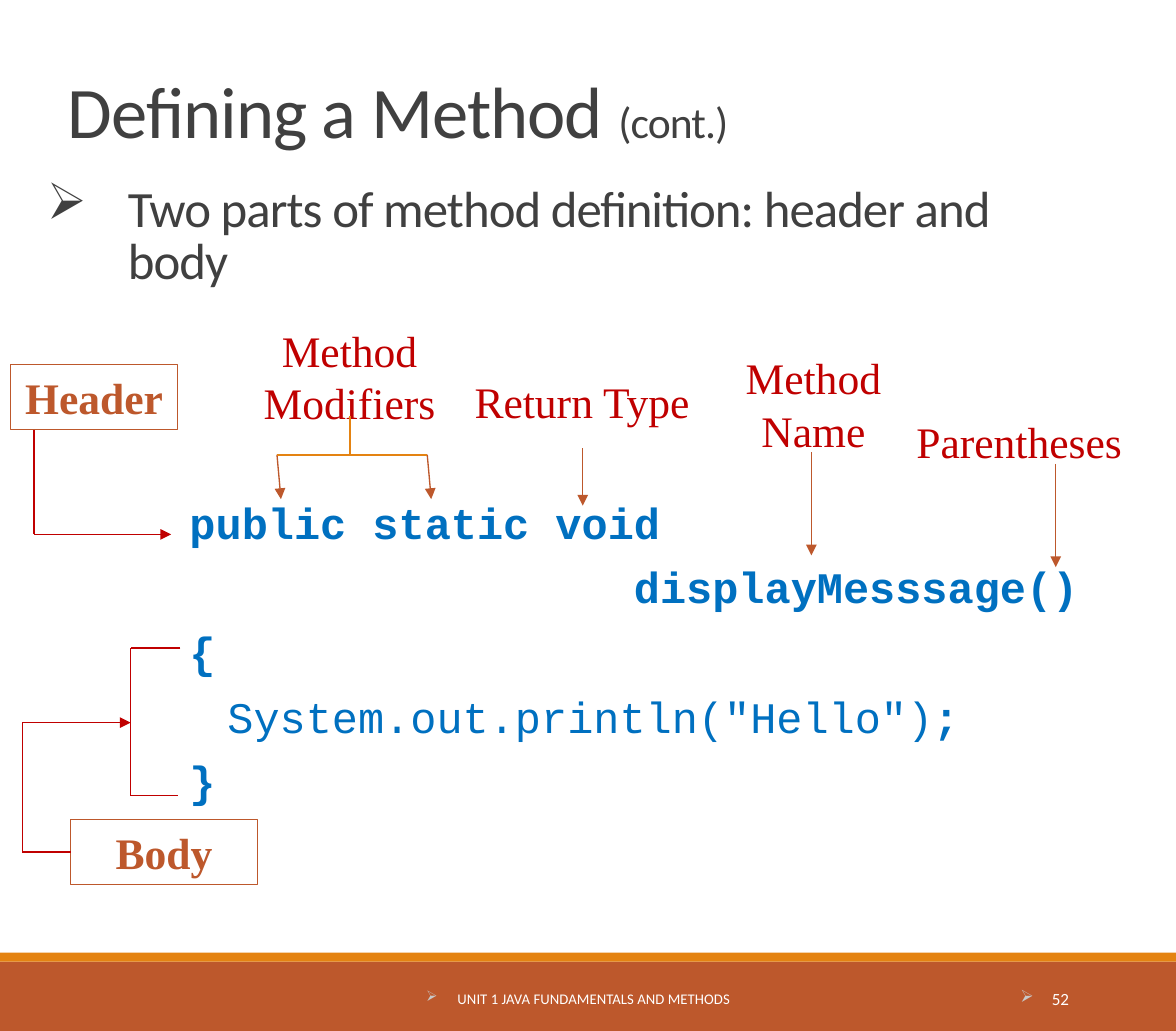
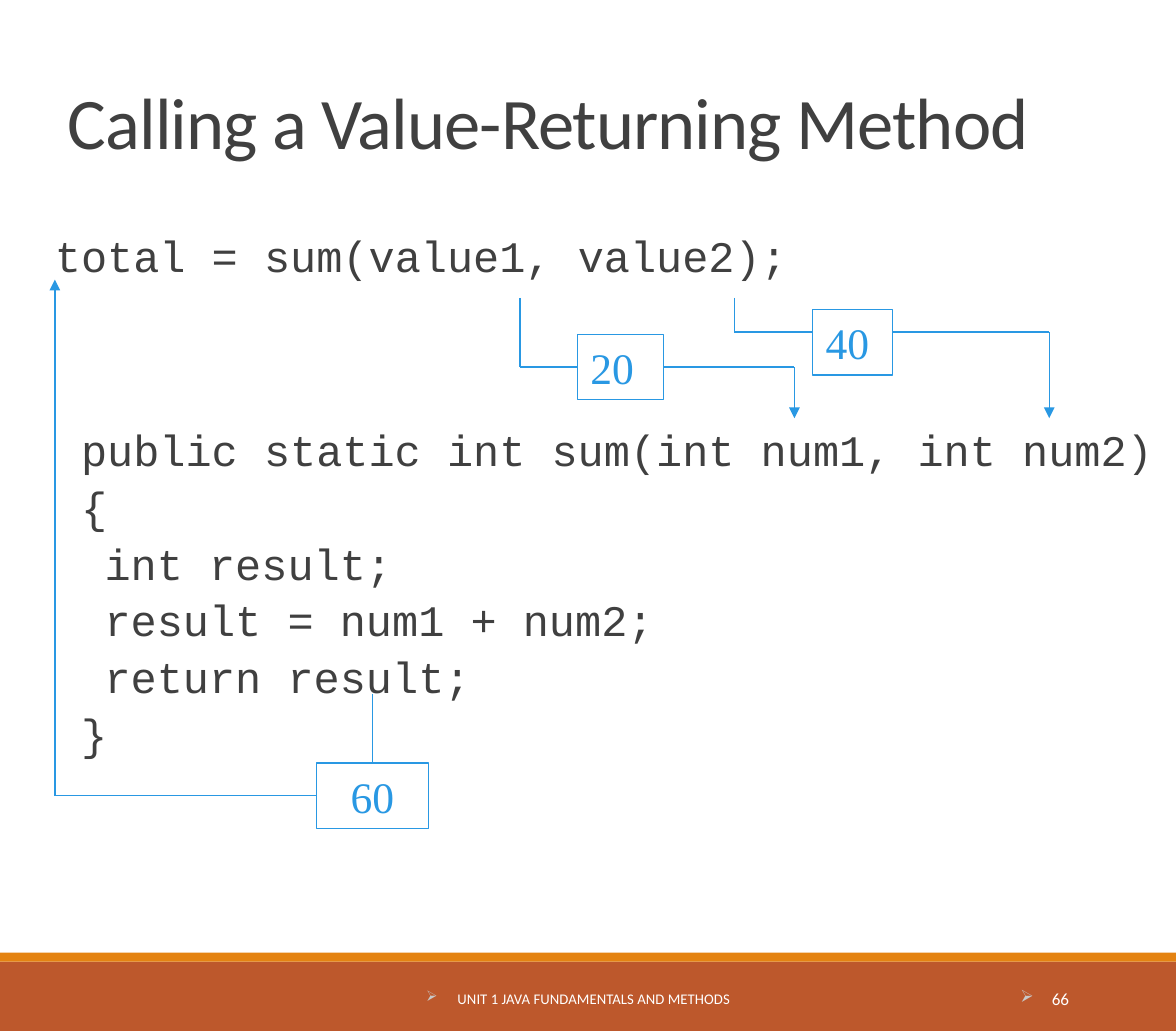
from dataclasses import dataclass, replace
from itertools import pairwise

from lxml.etree import SubElement as Sub
from pptx import Presentation
from pptx.dml.color import RGBColor as Rgb
from pptx.enum.shapes import MSO_CONNECTOR as Line, MSO_SHAPE as Form
from pptx.enum.text import MSO_ANCHOR as Anchor, MSO_AUTO_SIZE as Fit, PP_ALIGN as Align
from pptx.oxml.ns import qn
from pptx.util import Inches, Pt

WIDE, HIGH = Inches(9), Inches(7.89)
COLS, ROWS = 90, 78.9


@dataclass(frozen=True)
class Type:
    size: float
    font: str
    color: str
    bold: bool = False
    track: int = 0


@dataclass(frozen=True)
class Para:
    runs: tuple
    align: Align = Align.LEFT
    left: float = 0
    hang: float = 0
    line: float = 1
    before: float = 0
    after: float = 0
    mark: str = ""
    tint: str = ""


class Theme:
    rust, gold, red, blue, sky = "BD582C", "E48312", "C00000", "0070C0", "2998E3"
    ink, white, pale = "404040", "FFFFFF", "C8C8C8"
    thin, thick = 0.75, 1
    title = Type(40, "Calibri", ink, track=-50)
    aside = replace(title, size=24)
    lead = replace(title, size=28)
    code = Type(24, "Courier New", ink)
    call = replace(code, color=blue)
    bold = replace(call, bold=True)
    label = Type(24, "Times New Roman", red)
    tag = replace(label, color=rust, bold=True)
    value = replace(label, color=sky)
    foot = Type(8.1, "Calibri", white)
    page = replace(foot, size=9.4)


def col(n):
    return round(WIDE * n / COLS)


def row(n):
    return round(HIGH * n / ROWS)


def area(x, y, w, h):
    return col(x), row(y), col(w), row(h)


def bullet(par, item):
    props = par._p.get_or_add_pPr()
    props.set("marL", str(col(item.left)))
    props.set("indent", str(-col(item.hang)))
    if item.mark:
        tint = Sub(Sub(props, qn("a:buClr")), qn("a:srgbClr"))
        tint.set("val", item.tint)
        Sub(props, qn("a:buChar")).set("char", item.mark)
    else:
        Sub(props, qn("a:buNone"))


def write(shape, items, anchor=Anchor.TOP, inset=True):
    frame = shape.text_frame
    frame.word_wrap, frame.auto_size = True, Fit.NONE
    frame.vertical_anchor = anchor
    if not inset:
        frame.margin_left = frame.margin_right = 0
    for i, item in enumerate(items):
        par = frame.add_paragraph() if i else frame.paragraphs[0]
        bullet(par, item)
        par.alignment, par.line_spacing = item.align, item.line
        par.space_before, par.space_after = Pt(item.before if i else 0), Pt(item.after)
        for words, kind in item.runs:
            run = par.add_run()
            run.text = words
            font = run.font
            font.size, font.name, font.bold = Pt(kind.size), kind.font, kind.bold
            font.color.rgb = Rgb.from_string(kind.color)
            if kind.track:
                run._r.get_or_add_rPr().set("spc", str(kind.track))


def text(slide, spot, *items, **look):
    write(slide.shapes.add_textbox(*area(*spot)), items, **look)


def label(slide, spot, words):
    text(slide, spot, Para(((words, Theme.label),), Align.CENTER))


def rect(slide, spot, fill=None, edge=None):
    shape = slide.shapes.add_shape(Form.RECTANGLE, *area(*spot))
    shape.shadow.inherit = False
    if fill:
        shape.fill.solid()
        shape.fill.fore_color.rgb = Rgb.from_string(fill)
    else:
        shape.fill.background()
    if edge:
        shape.line.color.rgb = Rgb.from_string(edge)
        shape.line.width = Pt(Theme.thin)
    else:
        shape.line.fill.background()
    return shape


def tag(slide, spot, words, kind, align=Align.CENTER):
    shape = rect(slide, spot, edge=kind.color)
    write(shape, [Para(((words, kind),), align)])
    return shape


def place(end):
    item, n = end
    if isinstance(item, (int, float)):
        return col(item), row(n)
    x, y = ((1, 0), (0, 1), (1, 2), (2, 1))[n]
    return item.left + item.width * x // 2, item.top + item.height * y // 2


def wire(slide, color, *ends, head=False, width=Theme.thin):
    for start, stop in pairwise(ends):
        link = slide.shapes.add_connector(Line.STRAIGHT, *place(start), *place(stop))
        for end, join in ((start, link.begin_connect), (stop, link.end_connect)):
            if not isinstance(end[0], (int, float)):
                join(*end)
        link.line.color.rgb = Rgb.from_string(color)
        link.line.width = Pt(width)
        if head and stop is ends[-1]:
            Sub(link.line._get_or_add_ln(), qn("a:tailEnd")).set("type", "triangle")
        Sub(link._element.spPr, qn("a:effectLst"))


def bands(slide, layout):
    for spot, fill in (((0, 73.6, 90, 5.3), Theme.rust), ((0, 72.9, 90, 0.7), Theme.gold)):
        layout.shapes.element.append(rect(slide, spot, fill).element)


def start(deck, layout, spot, runs, page):
    slide = deck.slides.add_slide(layout)
    head = slide.shapes.title
    head.left, head.top, head.width, head.height = area(*spot)
    write(head, [Para(runs, line=0.85)], Anchor.BOTTOM)
    for box, words, kind, align, left in (
        ((27.2, 74.3, 35.6, 4.2), "UNIT 1 JAVA FUNDAMENTALS AND METHODS", Theme.foot, Align.CENTER, 0.6),
        ((73.1, 74.3, 9.7, 4.2), page, Theme.page, Align.RIGHT, 0),
    ):
        note = Para(((words, kind),), align, left, 2.4, mark="➢", tint=Theme.pale)
        text(slide, box, note, anchor=Anchor.MIDDLE)
    return slide


def define(deck, layout):
    runs = (("Defining a Method ", Theme.title), ("(cont.)", Theme.aside))
    slide = start(deck, layout, (4.2, 1.7, 80.5, 10.5), runs, "52")
    lead = (("Two parts of method definition: header and body", Theme.lead),)
    text(slide, (2.6, 14.6, 82.5, 8.1),
         Para(lead, left=6.2, hang=6.2, line=0.85, mark="➢", tint=Theme.ink), anchor=Anchor.BOTTOM)

    base = Para((), left=0.9, hang=0.9, line=0.8, before=10.8, after=1.8)
    lines = (
        (("public static void", Theme.bold),),
        (("                 displayMesssage()", Theme.bold),),
        (("{", Theme.bold),),
        (("\t System.out.println(\"Hello\")", Theme.call), (";", Theme.bold)),
        (("}", Theme.bold),),
    )
    text(slide, (14.5, 38.2, 71.2, 24.5), *(replace(base, runs=line) for line in lines), inset=False)

    body = tag(slide, (5.4, 62.7, 14.3, 5), "Body", Theme.tag)
    tag(slide, (0.8, 27.9, 12.8, 5), "Header", Theme.tag)
    wire(slide, Theme.red, (13.8, 49.6), (10, 49.6), (10, 60.9), (13.6, 60.9))
    wire(slide, Theme.red, (body, 1), (1.7, 65.2), (1.7, 55.3), (10, 55.3), head=True)
    wire(slide, Theme.red, (2.6, 32.9), (2.6, 40.9), (13.1, 40.9), head=True)

    for spot, words in (
        ((18.9, 24.3, 15.7, 9.1), "Method Modifiers"),
        ((34.9, 28.2, 19.3, 5), "Return Type"),
        ((51.8, 26.4, 20.9, 9.1), "Method Name"),
        ((68.5, 31.3, 19, 5), "Parentheses"),
    ):
        label(slide, spot, words)
    for x, top, end, low in (
        (21.2, 34.8, 21.5, 38.2), (32.7, 34.8, 33, 38.2), (44.6, 34.3, 44.6, 38.7),
        (62.1, 34.6, 62.1, 42.5), (80.8, 35.5, 80.8, 43.4),
    ):
        wire(slide, Theme.rust, (x, top), (end, low), head=True)
    for ends in (((21.2, 34.8), (32.7, 34.8)), ((26.8, 31.8), (26.8, 34.8))):
        wire(slide, Theme.gold, *ends, width=Theme.thick)
    return slide


def invoke(deck, layout):
    runs = (("Calling a Value-Returning Method", Theme.title),)
    slide = start(deck, layout, (4.2, 0, 76.1, 13.1), runs, "66")
    first = Para((("total = sum(value1, value2);", Theme.code),), left=0.9, hang=0.9, line=0.9, after=1.8)
    lines = (
        "public static int sum(int num1, int num2)", "{", "\tint result;",
        "\tresult = num1 + num2;", "\treturn result;", "}",
    )
    rest = (
        Para(((line, Theme.code),), left=3.8, hang=1.8, line=0.9, before=1.8 if i else 79, after=3.6)
        for i, line in enumerate(lines)
    )
    text(slide, (4.2, 17.5, 85.8, 54.4), first, *rest, inset=False)

    one = tag(slide, (44.2, 25.6, 6.6, 5), "20", Theme.value, Align.LEFT)
    tag(slide, (62.2, 23.7, 6.1, 5), "40", Theme.value, Align.LEFT)
    total = tag(slide, (24.2, 58.4, 8.6, 5), "60", Theme.value)
    wire(slide, Theme.sky, (39.8, 22.8), (39.8, 28.1), (one, 1))
    wire(slide, Theme.sky, (one, 3), (60.8, 28.1), (60.8, 32), head=True)
    wire(slide, Theme.sky, (56.2, 22.8), (56.2, 25.4), (62.2, 25.4))
    wire(slide, Theme.sky, (68.3, 25.4), (80.3, 25.4), (80.3, 32), head=True)
    wire(slide, Theme.sky, (28.5, 53.1), (total, 0))
    wire(slide, Theme.sky, (total, 1), (4.2, 60.9), (4.2, 21.4), head=True)


def main():
    deck = Presentation()
    deck.slide_width, deck.slide_height = WIDE, HIGH
    layout = deck.slide_layouts[5]
    bands(define(deck, layout), layout)
    invoke(deck, layout)
    deck.save("out.pptx")


if __name__ == "__main__":
    main()
